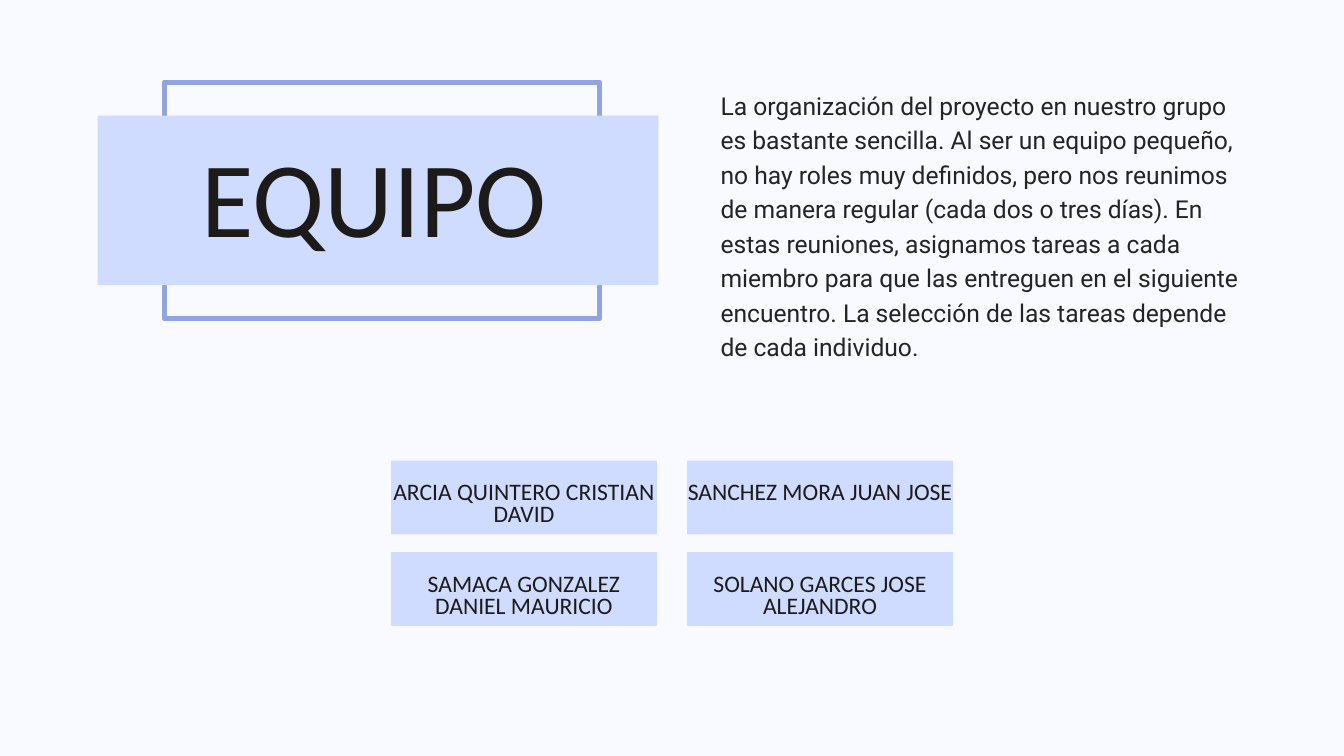
from dataclasses import dataclass

from lxml import etree
from pptx import Presentation
from pptx.dml.color import RGBColor
from pptx.enum.shapes import MSO_SHAPE
from pptx.enum.text import MSO_ANCHOR, MSO_AUTO_SIZE, PP_ALIGN
from pptx.oxml.ns import qn
from pptx.util import Pt

RECTANGLE = MSO_SHAPE.RECTANGLE
TOP = MSO_ANCHOR.TOP
FIXED = MSO_AUTO_SIZE.NONE
LEFT, CENTER = PP_ALIGN.LEFT, PP_ALIGN.CENTER
TITLE_AND_CONTENT = 1


@dataclass(frozen=True)
class Theme:
    background: str = "F8FAFF"
    panel: str = "CFDBFF"
    frame: str = "8FA4E1"
    heading: str = "1C1B19"
    prose: str = "242424"
    heading_font: str = "Calibri"
    prose_font: str = "Roboto"
    title_size: float = 114.8
    prose_size: float = 26.4
    name_size: float = 25.3
    frame_width: float = 5.25


THEME = Theme()

TITLE = "EQUIPO"
DESCRIPTION = (
    "La organización del proyecto en nuestro grupo es bastante sencilla. "
    "Al ser un equipo pequeño, no hay roles muy definidos, pero nos reunimos "
    "de manera regular (cada dos o tres días). En estas reuniones, asignamos "
    "tareas a cada miembro para que las entreguen en el siguiente encuentro. "
    "La selección de las tareas depende de cada individuo."
)
MEMBERS = [
    "ARCIA QUINTERO CRISTIAN DAVID",
    "SANCHEZ MORA JUAN JOSE",
    "SAMACA GONZALEZ DANIEL MAURICIO",
    "SOLANO GARCES JOSE ALEJANDRO",
]


def place(shape, left, top, width, height):
    shape.left, shape.top = Pt(left), Pt(top)
    shape.width, shape.height = Pt(width), Pt(height)


def bring_to_front(shape):
    shape.element.getparent().append(shape.element)


def add_rectangle(page, left, top, width, height, fill=None, line=None):
    box = page.shapes.add_shape(RECTANGLE, Pt(left), Pt(top), Pt(width), Pt(height))
    box.shadow.inherit = False
    if fill:
        box.fill.solid()
        box.fill.fore_color.rgb = RGBColor.from_string(fill)
    else:
        box.fill.background()
    if line:
        box.line.color.rgb = RGBColor.from_string(line)
        box.line.width = Pt(THEME.frame_width)
    else:
        box.line.fill.background()
    return box


def write(box, text, *, font, size, color, spacing, align=LEFT):
    frame = box.text_frame
    frame.word_wrap = True
    frame.auto_size = FIXED
    frame.vertical_anchor = TOP
    frame.margin_left = frame.margin_top = frame.margin_right = frame.margin_bottom = 0
    para = frame.paragraphs[0]
    para.alignment = align
    para.line_spacing = Pt(spacing)
    para.space_before = para.space_after = Pt(0)
    span = para.add_run()
    span.text = text
    span.font.name = font
    span.font.size = Pt(size)
    span.font.color.rgb = RGBColor.from_string(color)
    return para


def remove_bullet(para):
    properties = para._p.get_or_add_pPr()
    properties.set("marL", "0")
    properties.set("indent", "0")
    etree.SubElement(properties, qn("a:buNone"))


def build_title(page, left, top, width, height):
    """Outlined frame, banner across it and the title on the banner."""
    add_rectangle(page, left + 71.5, top, 466.5, height, line=THEME.frame)
    add_rectangle(page, left, top + 36, width, 181.5, fill=THEME.panel)
    title = page.shapes.title
    place(title, left, top + 37.5, width - 8, 165)
    write(title, TITLE, font=THEME.heading_font, size=THEME.title_size,
          color=THEME.heading, spacing=151.5, align=CENTER)
    bring_to_front(title)


def build_description(page, left, top, width, height):
    body = page.placeholders[1]
    place(body, left, top, width, height)
    para = write(body, DESCRIPTION, font=THEME.prose_font, size=THEME.prose_size,
                 color=THEME.prose, spacing=36.9)
    remove_bullet(para)
    bring_to_front(body)


def build_members(page, left, top, width, height, columns=2, gap_x=32.5, gap_y=19):
    """Grid of name cards."""
    rows = len(MEMBERS) // columns
    card_width = (width - gap_x * (columns - 1)) / columns
    card_height = (height - gap_y * (rows - 1)) / rows
    for index, member in enumerate(MEMBERS):
        row, column = divmod(index, columns)
        x = left + column * (card_width + gap_x)
        y = top + row * (card_height + gap_y)
        add_rectangle(page, x, y, card_width, card_height, fill=THEME.panel)
        label = page.shapes.add_textbox(Pt(x), Pt(y + 25), Pt(card_width), Pt(29))
        write(label, member, font=THEME.heading_font, size=THEME.name_size,
              color=THEME.heading, spacing=23.3, align=CENTER)


def main():
    deck = Presentation()
    deck.slide_width, deck.slide_height = Pt(1440), Pt(810)
    page = deck.slides.add_slide(deck.slide_layouts[TITLE_AND_CONTENT])
    page.background.fill.solid()
    page.background.fill.fore_color.rgb = RGBColor.from_string(THEME.background)

    build_title(page, 104.5, 88, 601, 253.5)
    build_description(page, 772, 92, 566, 256)
    build_members(page, 419, 493.5, 602, 177)
    deck.save("out.pptx")


if __name__ == "__main__":
    main()
